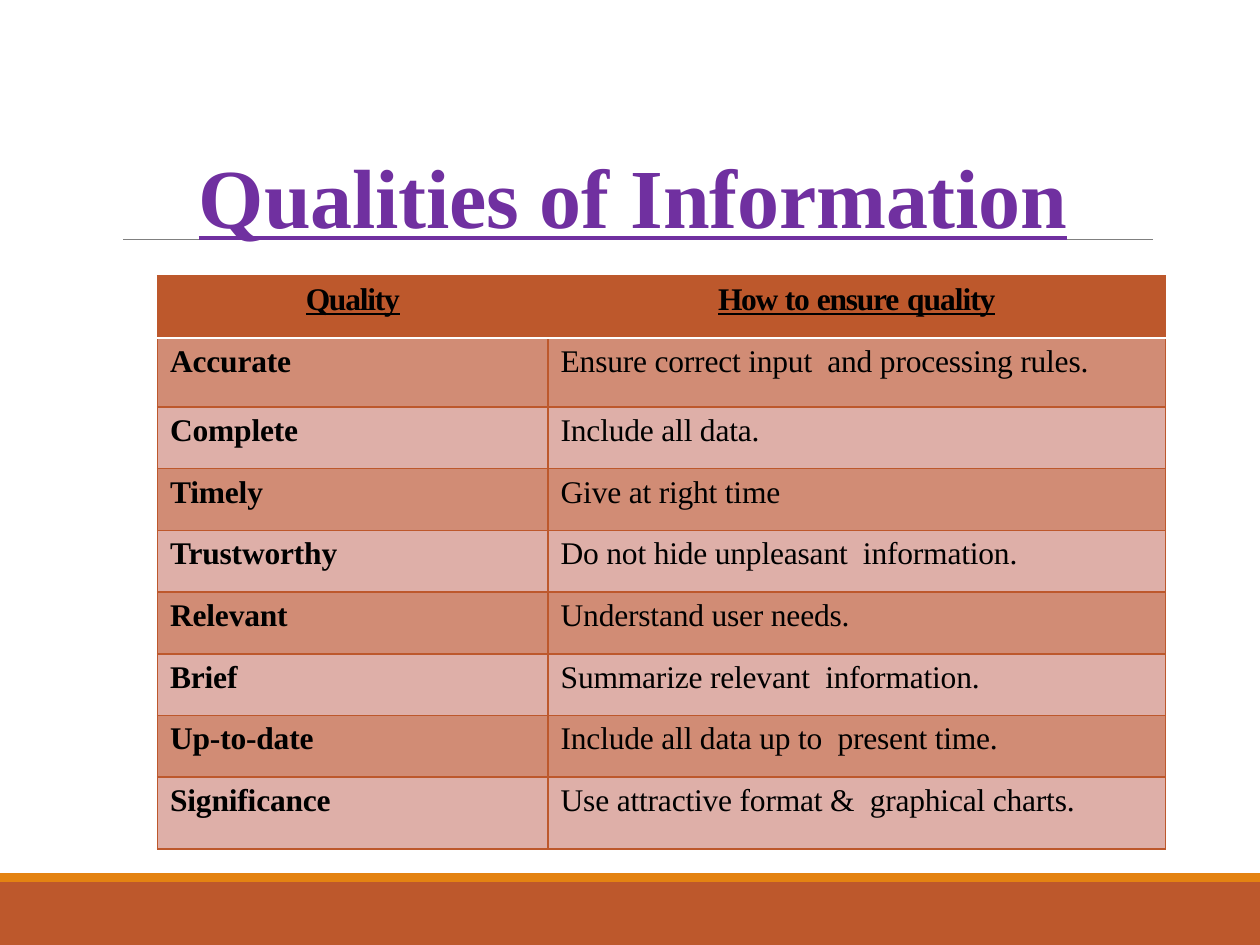
import pptx
import pptx.util
import pptx.dml.color
import pptx.enum.shapes
import pptx.enum.text
import pptx.oxml.ns
import lxml.etree
from dataclasses import dataclass

TITLE = [("Qualities of", -0.1), (" ", -0.7), ("Information", -0.1)]
HEADER = [
    [("Quality", -0.7)],
    [("How ", -0.8), ("to ", -0.6), ("ensure", -0.7), (" ", -0.3), ("quality", -0.6)],
]
QUALITIES = [
    ("Accurate", "Ensure correct input  and processing rules."),
    ("Complete", "Include all data."),
    ("Timely", "Give at right time"),
    ("Trustworthy", "Do not hide unpleasant  information."),
    ("Relevant", "Understand user needs."),
    ("Brief", "Summarize relevant  information."),
    ("Up-to-date", "Include all data up to  present time."),
    ("Significance", "Use attractive format &  graphical charts."),
]


@dataclass(frozen=True)
class Theme:
    font: str = "Times New Roman"
    title_size: int = 48
    body_size: int = 18
    title: str = "7030A0"
    text: str = "000000"
    rust: str = "BD582C"
    orange: str = "E48312"
    rule: str = "808080"
    white: str = "FFFFFF"
    bands: tuple = ("D18C75", "DEAFA8")


T = Theme()
W, H = 10, 7.5
COLS = [3.1, 4.9]
ROW = 0.49
ROWS = [ROW, 0.55] + [ROW] * 6 + [0.57]
TABLE_X, TABLE_Y = W / 8, 2.19
BARS = [(7, 0.5, T.rust), (6.93, 0.07, T.orange)]

inch = pptx.util.Inches
rgb = pptx.dml.color.RGBColor.from_string
qn = pptx.oxml.ns.qn
ALIGN = pptx.enum.text.PP_ALIGN


def write(tf, text, size=T.body_size, color=T.text, bold=False,
          underline=False, align=ALIGN.LEFT, line=None):
    p = tf.paragraphs[0]
    p.alignment = align
    if line:
        p.line_spacing = line
    for part, spacing in text:
        r = p.add_run()
        r.text = part
        r.font.name = T.font
        r.font.size = pptx.util.Pt(size)
        r.font.bold = bold
        r.font.underline = underline
        r.font.color.rgb = rgb(color)
        r._r.get_or_add_rPr().set("spc", str(round(spacing * 100)))


def border(cell, **sides):
    tcPr = cell._tc.get_or_add_tcPr()
    for i, side in enumerate("LRTB"):
        color, width = sides.get(side, (T.rust, 1))
        ln = lxml.etree.Element(qn(f"a:ln{side}"), w=str(pptx.util.Pt(width)))
        fill = lxml.etree.SubElement(ln, qn("a:solidFill"))
        lxml.etree.SubElement(fill, qn("a:srgbClr"), val=color)
        tcPr.insert(i, ln)


def add_frame(s):
    for y, h, color in BARS:
        sp = s.shapes.add_shape(pptx.enum.shapes.MSO_SHAPE.RECTANGLE,
                                0, inch(y), inch(W), inch(h))
        sp.shadow.inherit = False
        sp.fill.solid()
        sp.fill.fore_color.rgb = rgb(color)
        sp.line.fill.background()
    rule = s.shapes.add_connector(pptx.enum.shapes.MSO_CONNECTOR.STRAIGHT,
                                  inch(0.98), inch(1.9), inch(9.15), inch(1.9))
    rule.line.color.rgb = rgb(T.rule)
    rule.line.width = pptx.util.Pt(0.5)
    lxml.etree.SubElement(rule._element.spPr, qn("a:effectLst"))


def add_title(s):
    tf = s.shapes.add_textbox(inch(0.9), inch(0.93), inch(8.25), inch(1.07)).text_frame
    tf.word_wrap = True
    tf.vertical_anchor = pptx.enum.text.MSO_ANCHOR.BOTTOM
    write(tf, TITLE, size=T.title_size, color=T.title, bold=True,
          underline=True, align=ALIGN.CENTER, line=0.85)


def add_qualities(s):
    table = s.shapes.add_table(len(ROWS), len(COLS), inch(TABLE_X), inch(TABLE_Y),
                               inch(sum(COLS)), inch(sum(ROWS))).table
    for column, w in zip(table.columns, COLS):
        column.width = inch(w)
    for row, h in zip(table.rows, ROWS):
        row.height = inch(h)
    body = [[[(text, -0.1)] for text in pair] for pair in QUALITIES]
    divider = (T.white, 1.25)
    for i, texts in enumerate([HEADER] + body):
        head = i == 0
        for j, text in enumerate(texts):
            cell = table.cell(i, j)
            cell.fill.solid()
            cell.fill.fore_color.rgb = rgb(T.rust if head else T.bands[(i - 1) % 2])
            write(cell.text_frame, text, bold=head or j == 0, underline=head,
                  align=ALIGN.CENTER if head else ALIGN.LEFT)
            border(cell, **({"B": divider} if head else {"T": divider} if i == 1 else {}))


def main():
    prs = pptx.Presentation()
    prs.slide_width, prs.slide_height = inch(W), inch(H)
    s = prs.slides.add_slide(prs.slide_layouts[6])
    add_frame(s)
    add_title(s)
    add_qualities(s)
    prs.save("out.pptx")


if __name__ == "__main__":
    main()
